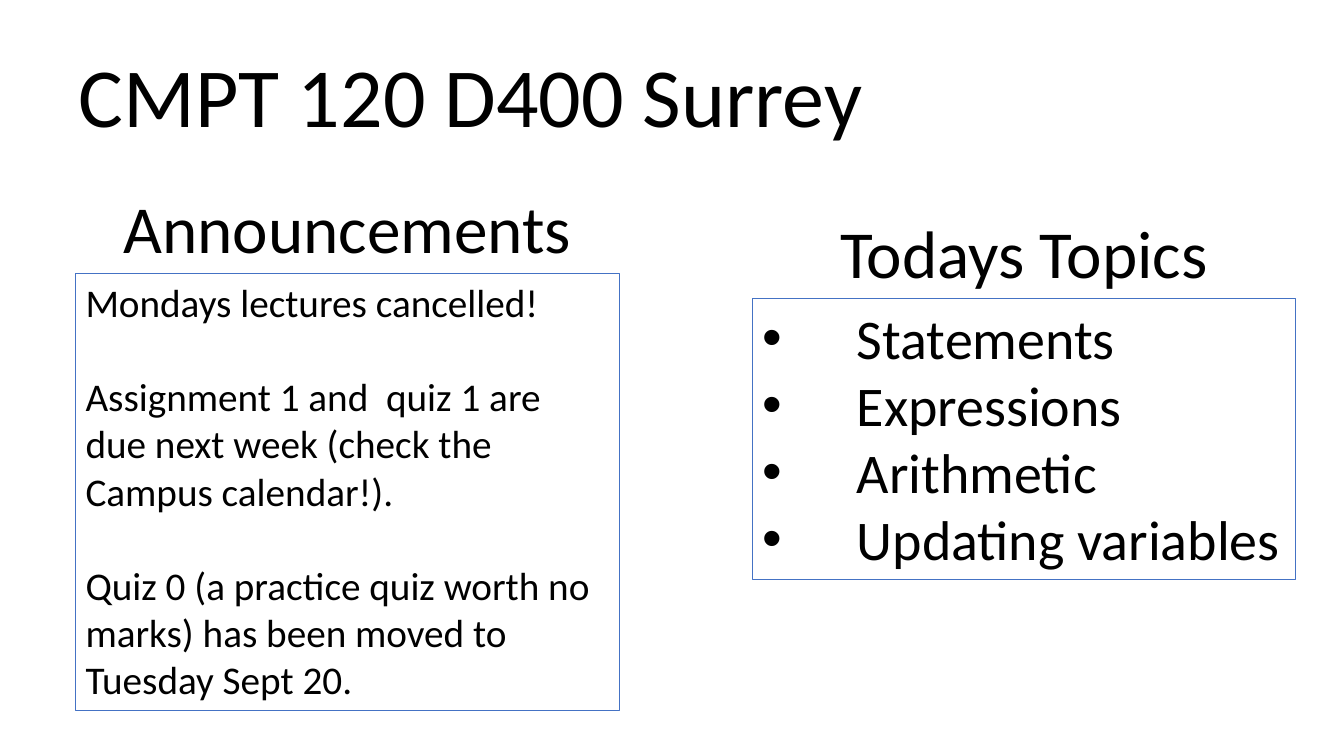
import pptx
import pptx.util
import pptx.dml.color
import pptx.enum.shapes
import pptx.enum.text
import pptx.oxml.ns
from lxml import etree
from pptx.util import Inches

COLORS = {"text": "000000", "border": "4472C4"}
FONT = "Calibri"
PANEL_WIDTH = 5.39
HEADING_HEIGHT = 0.91


def color(name):
    return pptx.dml.color.RGBColor.from_string(COLORS[name])


def write_paragraphs(frame, lines, size, align, gap=0):
    frame.word_wrap = True
    frame.vertical_anchor = pptx.enum.text.MSO_ANCHOR.TOP
    for index, line in enumerate(lines):
        paragraph = frame.paragraphs[0] if index == 0 else frame.add_paragraph()
        paragraph.text = line
        paragraph.alignment = align
        paragraph.font.name = FONT
        paragraph.font.size = pptx.util.Pt(size)
        paragraph.font.color.rgb = color("text")
        if index:
            paragraph.space_before = pptx.util.Pt(gap)


def add_heading(slide, text, left, top, width, height, size, align):
    heading = slide.shapes.add_textbox(
        Inches(left), Inches(top), Inches(width), Inches(height))
    write_paragraphs(heading.text_frame, [text], size, align)


def add_bullet(paragraph, indent):
    properties = paragraph._p.get_or_add_pPr()
    properties.set("marL", str(Inches(indent)))
    properties.set("indent", str(-Inches(indent)))
    bullet_font = etree.SubElement(properties, pptx.oxml.ns.qn("a:buFont"))
    bullet_font.set("typeface", "Arial")
    bullet = etree.SubElement(properties, pptx.oxml.ns.qn("a:buChar"))
    bullet.set("char", "•")
    defaults = properties.find(pptx.oxml.ns.qn("a:defRPr"))
    if defaults is not None:
        properties.append(defaults)


def add_panel(slide, title, lines, left, top, height, size, gap=0):
    add_heading(slide, title, left, top - HEADING_HEIGHT, PANEL_WIDTH,
                HEADING_HEIGHT, 48, pptx.enum.text.PP_ALIGN.CENTER)
    panel = slide.shapes.add_shape(
        pptx.enum.shapes.MSO_SHAPE.RECTANGLE,
        Inches(left), Inches(top), Inches(PANEL_WIDTH), Inches(height))
    panel.shadow.inherit = False
    panel.fill.background()
    panel.line.color.rgb = color("border")
    panel.line.width = pptx.util.Pt(0.75)
    write_paragraphs(panel.text_frame, lines, size,
                     pptx.enum.text.PP_ALIGN.LEFT, gap)
    return panel


def main():
    presentation = pptx.Presentation()
    presentation.slide_width = Inches(13.33)
    presentation.slide_height = Inches(7.5)
    slide = presentation.slides.add_slide(presentation.slide_layouts[6])

    add_heading(slide, "CMPT 120 D400 Surrey", 0.68, 0.38, 8.05, 1.11, 60,
                pptx.enum.text.PP_ALIGN.LEFT)
    topics = add_panel(
        slide, "Todays Topics",
        ["Statements", "Expressions", "Arithmetic", "Updating variables"],
        7.46, 2.96, 2.79, 40)
    for topic in topics.text_frame.paragraphs:
        add_bullet(topic, 0.94)
    add_panel(
        slide, "Announcements",
        ["Mondays lectures cancelled!",
         "Assignment 1 and  quiz 1 are due next week (check the Campus calendar!).",
         "Quiz 0 (a practice quiz worth no marks) has been moved to Tuesday Sept 20."],
        0.75, 2.71, 4.34, 28, gap=34)

    presentation.save("out.pptx")


if __name__ == "__main__":
    main()
